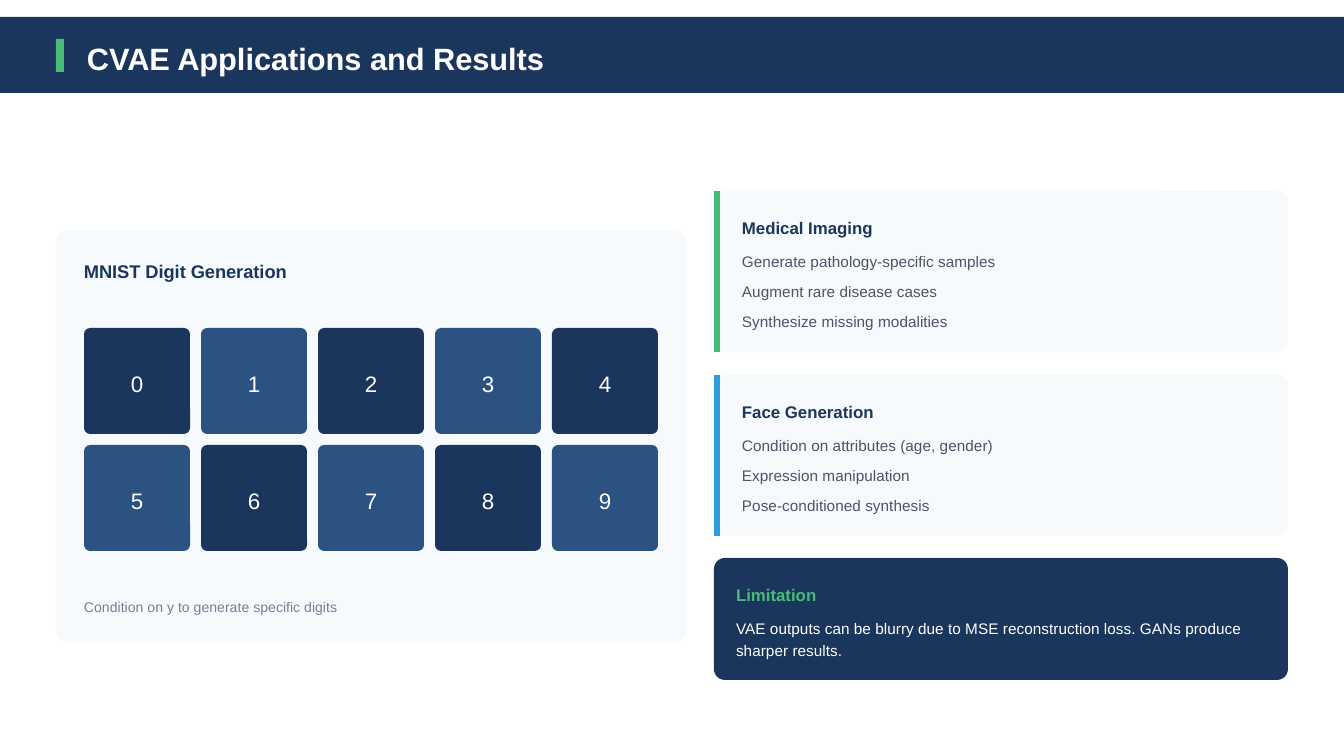
from lxml import etree
from pptx import Presentation
from pptx.dml.color import RGBColor
from pptx.enum.shapes import MSO_CONNECTOR, MSO_SHAPE
from pptx.enum.text import MSO_ANCHOR, MSO_AUTO_SIZE, PP_ALIGN
from pptx.oxml.ns import qn
from pptx.util import Emu, Pt

RECT, ROUNDED = MSO_SHAPE.RECTANGLE, MSO_SHAPE.ROUNDED_RECTANGLE
STRAIGHT = MSO_CONNECTOR.STRAIGHT
TOP, MIDDLE = MSO_ANCHOR.TOP, MSO_ANCHOR.MIDDLE
LEFT, CENTER = PP_ALIGN.LEFT, PP_ALIGN.CENTER
FIXED = MSO_AUTO_SIZE.NONE

EMU_PER_PX = 914400 / 134.4
FONT = "Arial"
NAVY, BLUE, SKY, GREEN = "1A365D", "2C5282", "2D9CDB", "48BB78"
PALE, WHITE, SLATE, GRAY = "F7FAFC", "FFFFFF", "4A5568", "718096"
CARD_RADIUS = 11


def px(value):
    """Turn pixels into EMU."""
    return Emu(round(value * EMU_PER_PX))


def color(code):
    """Turn a hex string into a colour."""
    return RGBColor.from_string(code)


def write(box, text, size, fill, bold=False, align=LEFT, anchor=TOP, leading=None, after=0):
    """Write each line of text as one paragraph of the box."""
    frame = box.text_frame
    frame.word_wrap = True
    frame.auto_size = FIXED
    frame.vertical_anchor = anchor
    frame.margin_left = frame.margin_right = frame.margin_top = frame.margin_bottom = 0
    frame.text = text
    for para in frame.paragraphs:
        para.alignment = align
        para.line_spacing = Pt(leading or size * 1.4)
        para.space_before = Pt(0)
        para.space_after = Pt(after)
        for span in para.runs:
            span.font.name = FONT
            span.font.size = Pt(size)
            span.font.bold = bold
            span.font.color.rgb = color(fill)


def add_text(page, left, top, width, height, text, **style):
    """Add a text box with formatted text."""
    box = page.shapes.add_textbox(px(left), px(top), px(width), px(height))
    write(box, text, **style)


def add_block(page, left, top, width, height, fill, radius=0):
    """Add a filled rectangle, rounded when a radius is given."""
    kind = ROUNDED if radius else RECT
    block = page.shapes.add_shape(kind, px(left), px(top), px(width), px(height))
    if radius:
        block.adjustments[0] = radius / min(width, height)
    block.shadow.inherit = False
    block.fill.solid()
    block.fill.fore_color.rgb = color(fill)
    block.line.fill.background()
    return block


def add_edge(page, left, top, height, fill):
    """Draw a vertical accent line without a shadow."""
    edge = page.shapes.add_connector(STRAIGHT, px(left), px(top), px(left), px(top + height))
    edge.line.color.rgb = color(fill)
    edge.line.width = Pt(3)
    etree.SubElement(edge.element.spPr, qn("a:effectLst"))


def add_header(page, left, top, width, height, text):
    """Build the title band with its accent and raise the title above it."""
    add_block(page, left, top, width, height, NAVY)
    add_block(page, left + 56, top + 22, 8, 33, GREEN)
    title = page.shapes.title
    title.left, title.top = px(left + 87), px(top + 16)
    title.width, title.height = px(468), px(43)
    write(title, text, size=16.5, fill=WHITE, bold=True)
    title.element.getparent().append(title.element)


def add_digit_panel(page, left, top, width, height):
    """Build the panel with a checkered grid of ten digit tiles."""
    pad, tile, step, columns = 28, 106, 117, 5
    inner = width - 2 * pad
    add_block(page, left, top, width, height, PALE, CARD_RADIUS)
    add_text(page, left + pad, top + 27, inner, 26, "MNIST Digit Generation",
             size=9.75, fill=NAVY, bold=True)
    for digit in range(10):
        row, column = divmod(digit, columns)
        block = add_block(page, left + pad + column * step, top + 98 + row * step,
                          tile, tile, BLUE if digit % 2 else NAVY, 6)
        write(block, str(digit), size=12, fill=WHITE, align=CENTER, anchor=MIDDLE)
    add_text(page, left + pad, top + 366, inner, 20,
             "Condition on y to generate specific digits", size=7.5, fill=GRAY)


def add_card(page, left, top, width, height, heading, body, edge=None,
             fill=PALE, heading_fill=NAVY, body_fill=SLATE, after=0):
    """Build a card with a heading, body text and an optional accent edge."""
    pad = 28 if edge else 22
    inner = width - pad - 12
    add_block(page, left, top, width, height, fill, CARD_RADIUS)
    if edge:
        add_edge(page, left + 3, top, height, edge)
    add_text(page, left + pad, top + 23, inner, 23, heading,
             size=9, fill=heading_fill, bold=True)
    add_text(page, left + pad, top + 58, inner, height - 76, body,
             size=8.25, fill=body_fill, leading=11.6, after=after)


def main():
    """Build the slide and save the deck."""
    deck = Presentation()
    deck.slide_width, deck.slide_height = px(1344), px(756)
    page = deck.slides.add_slide(deck.slide_layouts[5])
    add_header(page, 0, 17, 1344, 76, "CVAE Applications and Results")
    add_digit_panel(page, 56, 230, 630, 412)
    applications = [
        ("Medical Imaging", GREEN, ["Generate pathology-specific samples",
                                    "Augment rare disease cases",
                                    "Synthesize missing modalities"]),
        ("Face Generation", SKY, ["Condition on attributes (age, gender)",
                                  "Expression manipulation",
                                  "Pose-conditioned synthesis"]),
    ]
    for index, (heading, edge, points) in enumerate(applications):
        add_card(page, 714, 191 + index * 184, 574, 161, heading, "\n".join(points),
                 edge=edge, after=4.5)
    add_card(page, 714, 558, 574, 122, "Limitation",
             "VAE outputs can be blurry due to MSE reconstruction loss. "
             "GANs produce sharper results.",
             fill=NAVY, heading_fill=GREEN, body_fill=WHITE)
    deck.save("out.pptx")


if __name__ == "__main__":
    main()
